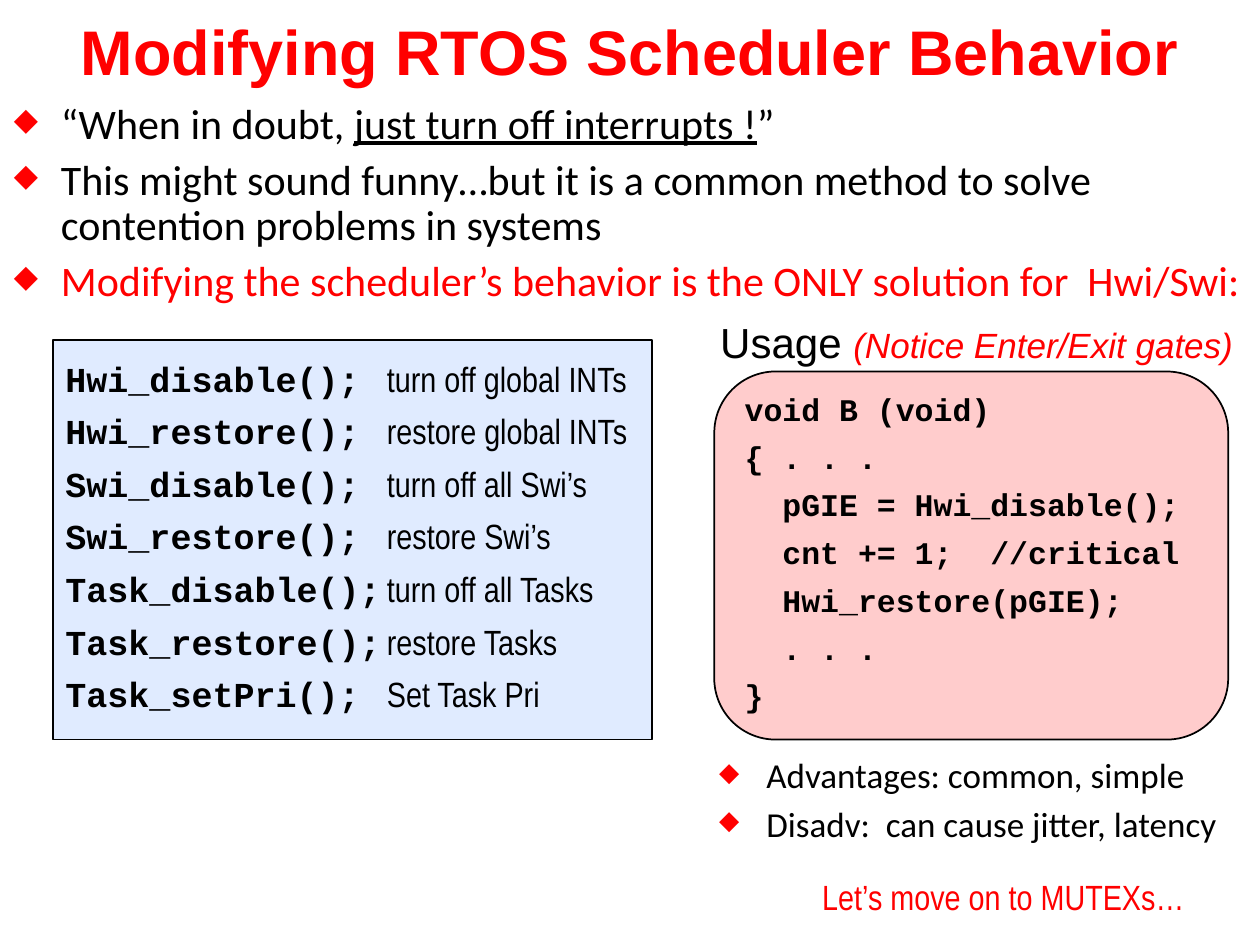
"""Build the slide on changing how the RTOS scheduler behaves."""
from dataclasses import dataclass
from typing import Any, Optional

from lxml.etree import SubElement
from pptx import Presentation
from pptx.dml.color import RGBColor as Rgb
from pptx.enum.shapes import MSO_SHAPE as Form
from pptx.enum.text import MSO_ANCHOR as Anchor, PP_ALIGN as Align
from pptx.oxml.ns import qn
from pptx.util import Cm, Pt


@dataclass(frozen=True)
class Theme:
    red: str = "FF0000"
    black: str = "000000"
    blue: str = "E0EBFF"
    pink: str = "FFCCCC"
    head: int = 36
    big: int = 24
    mid: int = 20
    code: int = 18
    sans: str = "Arial"
    slim: str = "Arial Narrow"
    body: str = "Calibri"
    mono: str = "Courier New"


@dataclass(frozen=True)
class Box:
    left: float
    top: float
    width: float
    height: float
    form: Optional[Any] = None
    fill: str = ""
    wrap: bool = True
    anchor: Any = Anchor.MIDDLE
    inset: bool = True


@dataclass(frozen=True)
class Call:
    name: str
    note: str


THEME = Theme()
CALLS = [
    Call("Hwi_disable();", "turn off global INTs"),
    Call("Hwi_restore();", "restore global INTs"),
    Call("Swi_disable();", "turn off all Swi’s"),
    Call("Swi_restore();", "restore Swi’s"),
    Call("Task_disable();", "turn off all Tasks"),
    Call("Task_restore();", "restore Tasks"),
    Call("Task_setPri();", "Set Task Pri"),
]
CODE = """void B (void)
{ . . .
  pGIE = Hwi_disable();
  cnt += 1;  //critical
  Hwi_restore(pGIE);
  . . .
}"""


def draw(slide: Any, box: Box) -> Any:
    """Add a box to the slide and return its text frame."""
    area = [Cm(n) for n in (box.left, box.top, box.width, box.height)]
    if box.form is None:
        shape = slide.shapes.add_textbox(*area)
    else:
        shape = slide.shapes.add_shape(box.form, *area)
        shape.shadow.inherit = False
        shape.fill.solid()
        shape.fill.fore_color.rgb = Rgb.from_string(box.fill)
        shape.line.color.rgb = Rgb.from_string(THEME.black)
        shape.line.width = Pt(1)
    frame = shape.text_frame
    frame.word_wrap = box.wrap
    frame.vertical_anchor = box.anchor
    if not box.inset:
        frame.margin_left = frame.margin_right = 0
        frame.margin_top = frame.margin_bottom = 0
    return frame


def line(frame: Any, align: Any = Align.LEFT, lead: float = 1,
         before: float = 0, after: float = 0) -> Any:
    """Return the next paragraph of the frame, spaced as asked."""
    first = frame.paragraphs[0]
    fresh = not first.runs
    para = first if fresh else frame.add_paragraph()
    para.alignment = align
    para.line_spacing = lead
    para.space_before = Pt(0 if fresh else before)
    para.space_after = Pt(after)
    return para


def write(para: Any, text: str, *, size: int, face: str,
          color: str = THEME.black, bold: bool = False,
          slant: bool = False, under: bool = False) -> None:
    """Add one formatted run of text to the paragraph."""
    run = para.add_run()
    run.text = text
    font = run.font
    font.size, font.name = Pt(size), face
    font.bold, font.italic, font.underline = bold, slant, under
    font.color.rgb = Rgb.from_string(color)


def point(frame: Any) -> Any:
    """Return a new paragraph with a red diamond bullet."""
    para = line(frame, lead=0.9, after=6)
    props = para._p.get_or_add_pPr()
    props.set("marL", str(Cm(0.95)))
    props.set("indent", str(-Cm(0.95)))
    tint = SubElement(props, qn("a:buClr"))
    SubElement(tint, qn("a:srgbClr"), val=THEME.red)
    SubElement(props, qn("a:buSzPct"), val="75000")
    SubElement(props, qn("a:buChar"), char="◆")
    return para


def stop(para: Any, place: float) -> None:
    """Set one left tab stop on the paragraph."""
    tabs = SubElement(para._p.get_or_add_pPr(), qn("a:tabLst"))
    SubElement(tabs, qn("a:tab"), pos=str(Cm(place)), algn="l")


def main() -> None:
    """Draw the whole slide and save it."""
    deck = Presentation()
    deck.slide_width, deck.slide_height = Cm(25.4), Cm(19.05)
    slide = deck.slides.add_slide(deck.slide_layouts[6])

    frame = draw(slide, Box(0, 0, 25.4, 2.05))
    write(line(frame, Align.CENTER), "Modifying RTOS Scheduler Behavior",
          size=THEME.head, face=THEME.sans, color=THEME.red, bold=True)

    frame = draw(slide, Box(0.03, 1.93, 25.3, 4.37))
    style = dict(size=THEME.big, face=THEME.body)
    para = point(frame)
    write(para, "“When in doubt, ", **style)
    write(para, "just turn off interrupts !", under=True, **style)
    write(para, "”", **style)
    write(point(frame), "This might sound funny…but it is a common method "
          "to solve contention problems in systems", **style)
    write(point(frame), "Modifying the scheduler’s behavior is the ONLY "
          "solution for  Hwi/Swi:", color=THEME.red, **style)

    frame = draw(slide, Box(1.07, 6.86, 12.07, 8.05, Form.RECTANGLE, THEME.blue))
    for call in CALLS:
        para = line(frame, lead=0.8, before=10.8)
        stop(para, 6.48)
        write(para, call.name + "\t", size=THEME.mid, face=THEME.mono, bold=True)
        write(para, call.note, size=THEME.mid, face=THEME.slim)

    frame = draw(slide, Box(14.4, 7.49, 10.36, 7.42,
                            Form.ROUNDED_RECTANGLE, THEME.pink))
    for row in CODE.splitlines():
        write(line(frame, lead=0.8, before=10), row,
              size=THEME.code, face=THEME.mono, bold=True)

    frame = draw(slide, Box(14.25, 15.16, 10.67, 2, wrap=False))
    for text in ("Advantages: common, simple",
                 "Disadv:  can cause jitter, latency"):
        write(point(frame), text, size=THEME.mid, face=THEME.body)

    frame = draw(slide, Box(16.51, 17.81, 7.37, 0.69, wrap=False,
                            anchor=Anchor.BOTTOM, inset=False))
    write(line(frame, Align.RIGHT, 0.8), "Let’s move on to MUTEXs…",
          size=THEME.mid, face=THEME.slim, color=THEME.red)

    frame = draw(slide, Box(14.27, 6.25, 10.95, 1.27, wrap=False))
    para = line(frame)
    write(para, "Usage ", size=THEME.big, face=THEME.sans)
    write(para, "(Notice Enter/Exit gates)", size=THEME.mid,
          face=THEME.sans, color=THEME.red, slant=True)

    deck.save("out.pptx")


if __name__ == "__main__":
    main()
